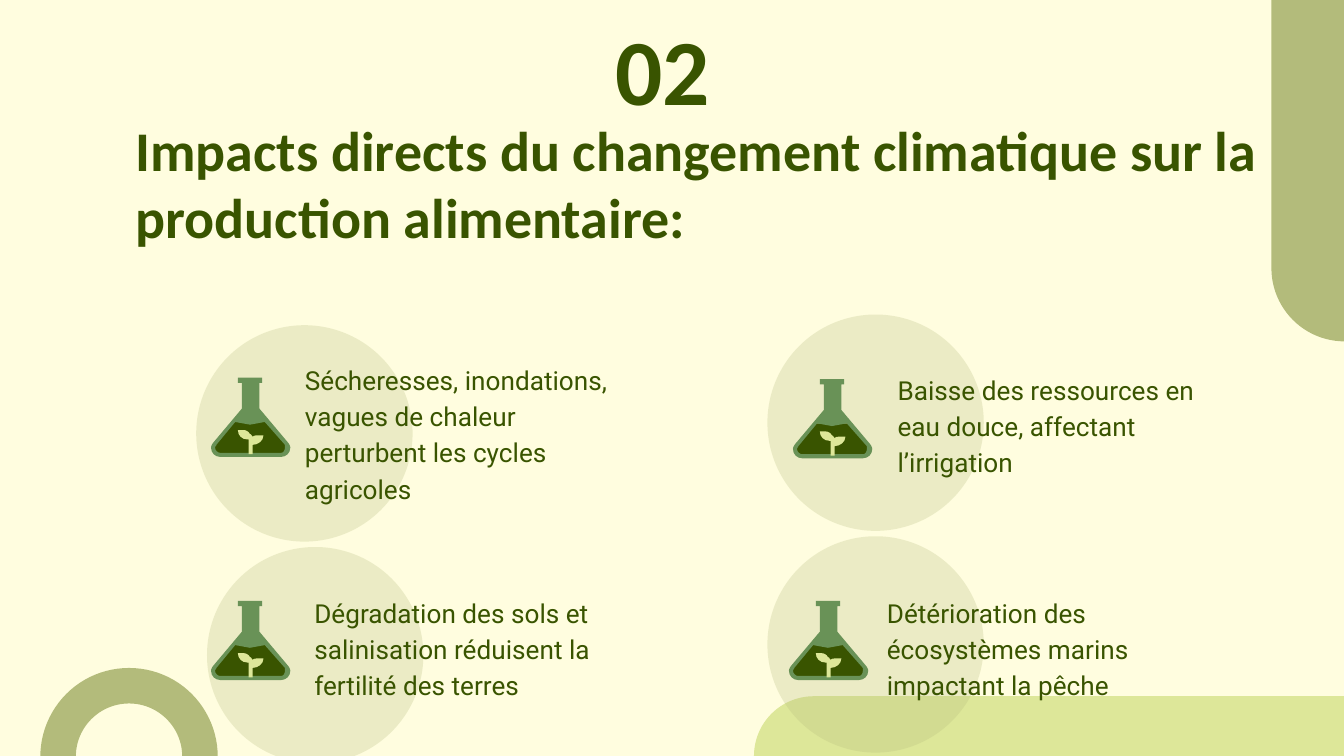
"""Build the slide on direct climate impacts on food production."""
from lxml import etree
from pptx import Presentation
from pptx import util as u
from pptx.dml import color
from pptx.enum import shapes, text
from pptx.oxml import ns

HUES = {"cream": "FFFDDF", "dark": "395400", "olive": "B3BB7B",
        "lime": "DDE799", "glass": "699257"}
FLASK = {
    "dark": [[(56, 49), (42, 33), (16, 33), (3, 49),
              (2, 50, 2, 51, 2, 52), (2, 54, 2, 55, 3, 56),
              (4, 57, 5, 57, 7, 57), (52, 57), (55, 57, 57, 55, 57, 52),
              (57, 51, 57, 50, 56, 49)]],
    "glass": [[(36, 23), (36, 4), (38, 4), (38, 0), (20, 0), (20, 4),
               (23, 4), (23, 23), (2, 48), (1, 49, 0, 51, 0, 52),
               (0, 56, 3, 59, 7, 59), (52, 59), (56, 59, 59, 56, 59, 52),
               (59, 51, 58, 49, 57, 48)],
              [(52, 56), (7, 56), (5, 56, 3, 54, 3, 52),
               (3, 51, 4, 51, 4, 50), (18, 33), (29, 35), (40, 33),
               (55, 50), (55, 51, 55, 51, 55, 52), (55, 54, 54, 56, 52, 56)]],
    "lime": [[(27, 46), (28, 46), (28, 57), (31, 57), (31, 50),
              (35, 50, 39, 47, 39, 43), (35, 43), (33, 43, 32, 43, 31, 44),
              (30, 43, 30, 42, 29, 42), (28, 40, 26, 39, 24, 39), (20, 39),
              (20, 43, 23, 46, 27, 46)]],
}

deck = Presentation()
deck.slide_width, deck.slide_height = u.Inches(10), u.Inches(10 * 9 / 16)
slide = deck.slides.add_slide(deck.slide_layouts[6])
back = slide.background.fill
back.solid()
back.fore_color.rgb = color.RGBColor.from_string(HUES["cream"])


def write(words, box, size=14, font="Roboto", bold=False, align="LEFT",
          anchor="TOP", space=1.0):
    frame = slide.shapes.add_textbox(*map(u.Inches, box)).text_frame
    frame.word_wrap = True
    frame.vertical_anchor = text.MSO_ANCHOR[anchor]
    frame.margin_left = frame.margin_right = u.Inches(0.1)
    frame.margin_top = frame.margin_bottom = u.Inches(0.1)
    para = frame.paragraphs[0]
    para.alignment = text.PP_ALIGN[align]
    para.line_spacing = space
    run = para.add_run()
    run.text = words
    run.font.size, run.font.name, run.font.bold = u.Pt(size), font, bold
    run.font.color.rgb = color.RGBColor.from_string(HUES["dark"])


def paint(shape, hue, alpha=None):
    shape.shadow.inherit = False
    shape.line.fill.background()
    shape.fill.solid()
    shape.fill.fore_color.rgb = color.RGBColor.from_string(HUES[hue])
    if alpha:
        tint = shape.fill._xPr.find(".//" + ns.qn("a:srgbClr"))
        etree.SubElement(tint, ns.qn("a:alpha"), val=str(alpha * 1000))


decor = [
    ("ROUND_2_SAME_RECTANGLE", (7.36, 3.43, 0.89, 4.39), 270, (0.5, 0), "lime"),
    ("BLOCK_ARC", (0.3, 4.97, 1.32, 1.32), 0, (108, 0.94, 0.2), "olive"),
    ("ROUND_2_SAME_RECTANGLE", (9.46, 0, 1.09, 2.54), 180, (0.5, 0), "olive"),
]
for kind, box, turn, bends, hue in decor:
    shape = slide.shapes.add_shape(shapes.MSO_SHAPE[kind], *map(u.Inches, box))
    shape.rotation = turn
    for spot, bend in enumerate(bends):
        shape.adjustments[spot] = bend
    paint(shape, hue)

write("Impacts directs du changement climatique sur la production alimentaire:",
      (0.91, 0.76, 8.78, 0.63), size=30, font="Calibri", bold=True)
write("02", (4.13, 0.06, 1.6, 0.89), size=50, font="Calibri", bold=True,
      align="CENTER", anchor="MIDDLE")

for left, top in [(5.71, 3.99), (1.46, 2.42), (5.71, 2.34), (1.54, 4.07)]:
    disc = slide.shapes.add_shape(
        shapes.MSO_SHAPE.OVAL, *map(u.Inches, (left, top, 1.61, 1.61)))
    paint(disc, "olive", alpha=26)

for left, top in [(1.57, 2.81), (5.87, 4.47), (1.57, 4.47), (5.9, 2.82)]:
    group = slide.shapes.add_group_shape()
    for hue, loops in FLASK.items():
        pen = None
        for loop in loops:
            dots = []
            for step in loop:
                if len(step) == 2:
                    dots.append(step)
                    continue
                curve = [dots[-1], step[:2], step[2:4], step[4:]]
                for t in (0.25, 0.5, 0.75, 1):
                    parts = ((1 - t)**3, 3 * t * (1 - t)**2,
                             3 * t**2 * (1 - t), t**3)
                    dots.append(tuple(
                        sum(w * p[axis] for w, p in zip(parts, curve))
                        for axis in (0, 1)))
            dots = [(u.Inches(left + x / 100), u.Inches(top + y / 100))
                    for x, y in dots]
            if pen is None:
                pen = group.shapes.build_freeform(*dots[0])
            else:
                pen.move_to(*dots[0])
            pen.add_line_segments(dots[1:], close=True)
        paint(pen.convert_to_shape(), hue)

notes = [
    (2.17, 2.58, "Sécheresses, inondations, vagues de chaleur perturbent "
                 "les cycles agricoles"),
    (6.5, 4.31, "Détérioration des écosystèmes marins impactant la pêche"),
    (2.24, 4.31, "Dégradation des sols et salinisation réduisent la fertilité "
                 "des terres"),
    (6.58, 2.65, "Baisse des ressources en eau douce, affectant l’irrigation"),
]
for left, top, words in notes:
    write(words, (left, top, 2.55, 0.73), space=1.15)

deck.save("out.pptx")
